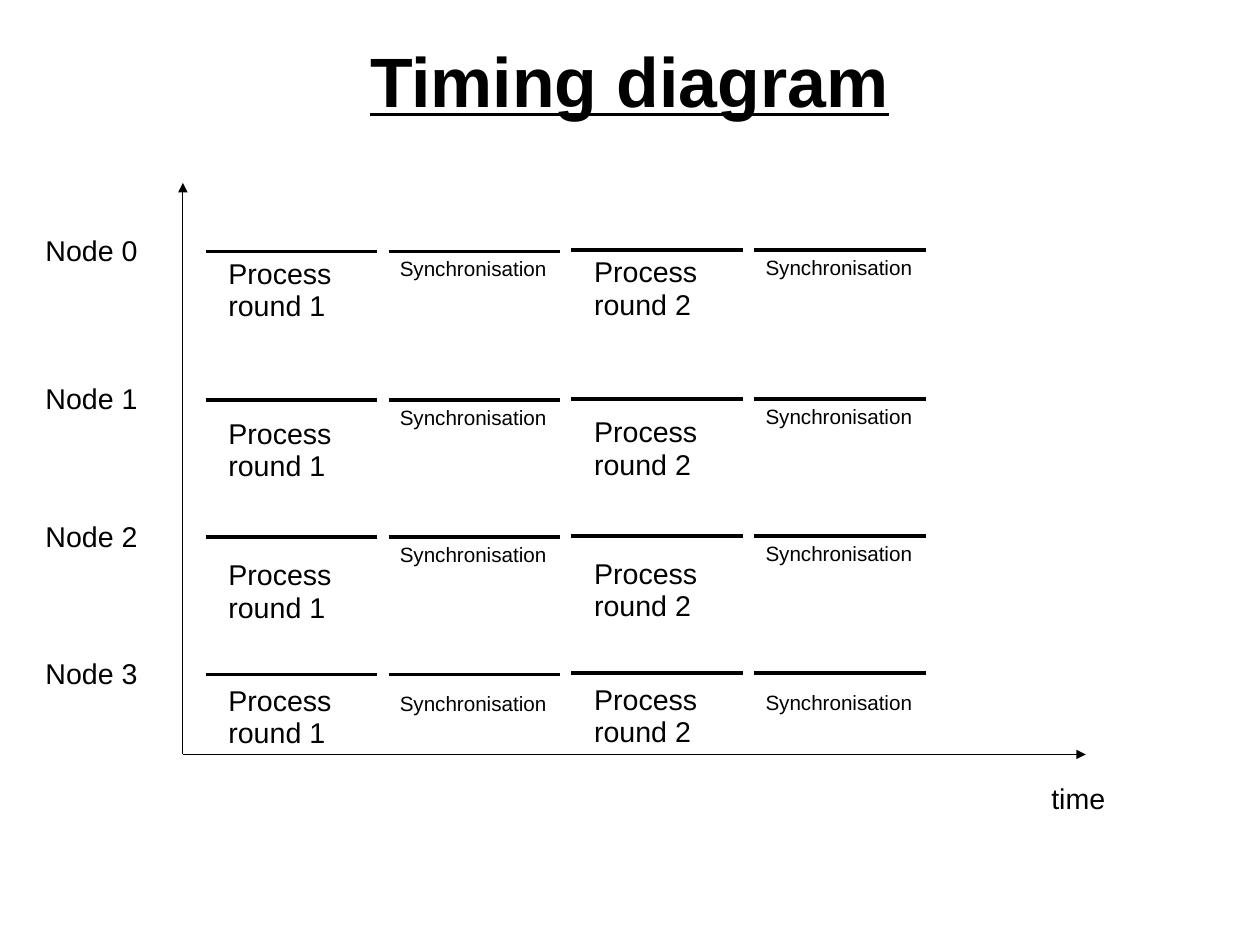
from dataclasses import dataclass

import pptx
import pptx.dml.color
import pptx.enum.shapes
import pptx.enum.text
import pptx.oxml.ns
import pptx.slide
import pptx.util
from lxml import etree

Pt = pptx.util.Pt
BLACK = pptx.dml.color.RGBColor(0x00, 0x00, 0x00)
FONT = "Arial"
LINE_SPACING = 0.94
LABEL_INSETS = (7.2, 4.32, 7.2, 3.6)
TITLE_INSETS = (0, 2.88, 0, 0)

# Slide size
SLIDE_WIDTH, SLIDE_HEIGHT = 793.75, 595.25

# Axes
AXIS_X, AXIS_Y = 115.2, 475.2
AXIS_RIGHT, AXIS_TOP = 684, 115.2

# Phases along the time axis
PHASE_LEFT, PHASE_STEP, PHASE_WIDTH = 129.6, 115.2, 108
ROUND_RISE = 0.72


@dataclass
class Node:
    name: str
    line_y: float
    process_y: float
    sync_y: float


NODES = [
    Node("Node 0", 158.4, 158.4, 158.4),
    Node("Node 1", 252, 259.2, 252),
    Node("Node 2", 338.4, 348.48, 338.4),
    Node("Node 3", 424.8, 427.68, 432),
]


@dataclass
class Label:
    text: str
    left: float
    top: float
    width: float
    height: float
    size: float = 18
    insets: tuple[float, float, float, float] = LABEL_INSETS
    title: bool = False


def add_label(s: pptx.slide.Slide, label: Label) -> None:
    sp = s.shapes.add_textbox(Pt(label.left), Pt(label.top), Pt(label.width), Pt(label.height))
    tf = sp.text_frame
    tf.word_wrap = True
    tf.margin_left, tf.margin_top, tf.margin_right, tf.margin_bottom = map(Pt, label.insets)
    p = tf.paragraphs[0]
    p.line_spacing = LINE_SPACING
    r = p.add_run()
    r.text = label.text
    r.font.name = FONT
    r.font.size = Pt(label.size)
    r.font.color.rgb = BLACK
    if label.title:
        tf.vertical_anchor = pptx.enum.text.MSO_ANCHOR.MIDDLE
        p.alignment = pptx.enum.text.PP_ALIGN.CENTER
        r.font.bold = True
        r.font.underline = True


def add_line(s: pptx.slide.Slide, x1: float, y1: float, x2: float, y2: float,
             weight: float, arrow: bool = False) -> None:
    straight = pptx.enum.shapes.MSO_CONNECTOR.STRAIGHT
    sp = s.shapes.add_connector(straight, Pt(x1), Pt(y1), Pt(x2), Pt(y2))
    sp.line.color.rgb = BLACK
    sp.line.width = Pt(weight)
    sp_pr = sp.element.spPr
    if arrow:
        ln = sp_pr.find(pptx.oxml.ns.qn("a:ln"))
        etree.SubElement(ln, pptx.oxml.ns.qn("a:tailEnd"), type="triangle")
    etree.SubElement(sp_pr, pptx.oxml.ns.qn("a:effectLst"))


def add_round(s: pptx.slide.Slide, number: int) -> None:
    """Draw the process and synchronisation phases of one round for every node."""
    rise = ROUND_RISE * (number - 1)
    process_x = PHASE_LEFT + 2 * PHASE_STEP * (number - 1)
    sync_x = process_x + PHASE_STEP
    for node in NODES:
        y = node.line_y - rise
        for x in (process_x, sync_x):
            add_line(s, x, y, x + PHASE_WIDTH, y, 2.3)
        add_label(s, Label(f"Process round {number}", process_x + 7.2,
                           node.process_y - rise, 93.6, 47.52))
        add_label(s, Label("Synchronisation", sync_x, node.sync_y - rise,
                           PHASE_WIDTH, 21.6, size=13))


def main() -> None:
    prs = pptx.Presentation()
    prs.slide_width, prs.slide_height = Pt(SLIDE_WIDTH), Pt(SLIDE_HEIGHT)
    s = prs.slides.add_slide(prs.slide_layouts[6])

    # Title
    add_label(s, Label("Timing diagram", 39.6, 1.44, 714.24, 99.36,
                       size=44, insets=TITLE_INSETS, title=True))

    # Axes and their labels
    add_line(s, AXIS_X, AXIS_Y, AXIS_RIGHT, AXIS_Y, 0.75, arrow=True)
    add_line(s, AXIS_X, AXIS_Y, AXIS_X, AXIS_TOP, 0.75, arrow=True)
    add_label(s, Label("time", 655.2, 489.6, 64.8, 27.36))
    for node in NODES:
        add_label(s, Label(node.name, 21.6, node.line_y - 14.4, 79.2, 27.36))

    # Rounds
    for number in (1, 2):
        add_round(s, number)

    prs.save("out.pptx")


if __name__ == "__main__":
    main()
